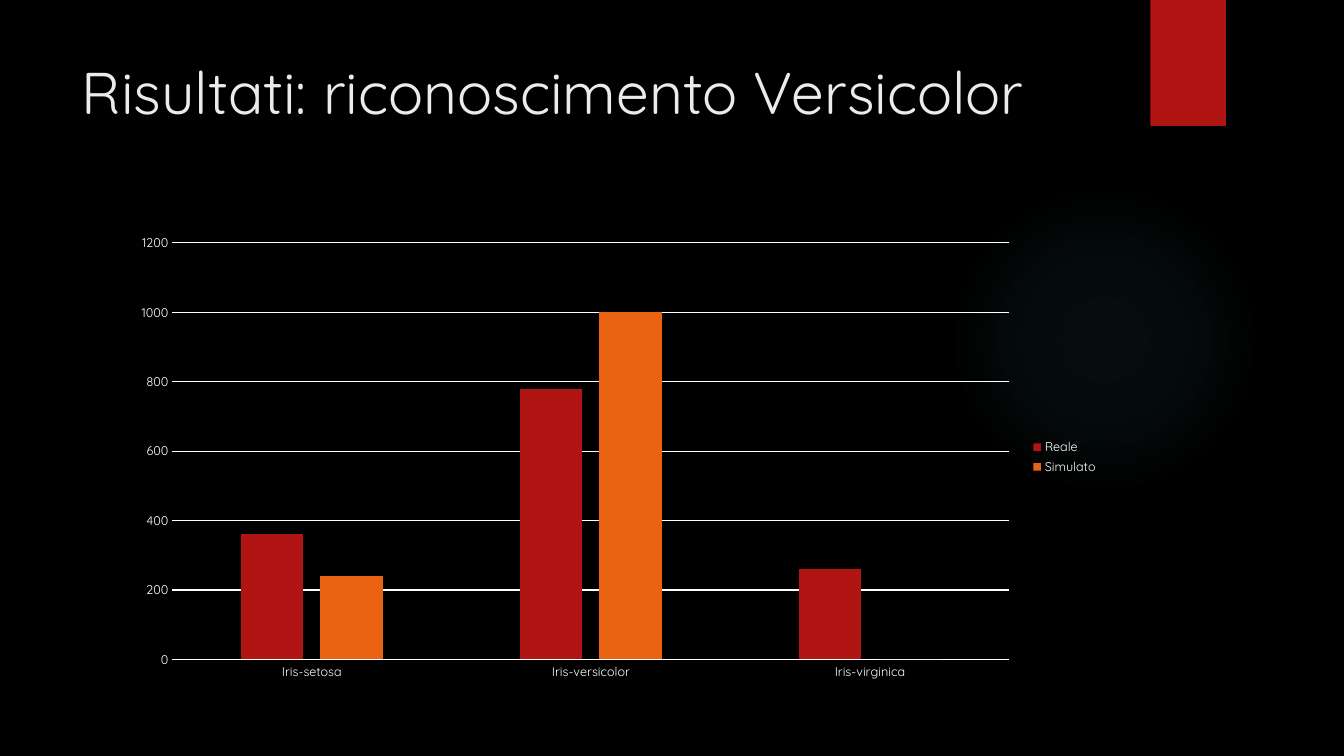
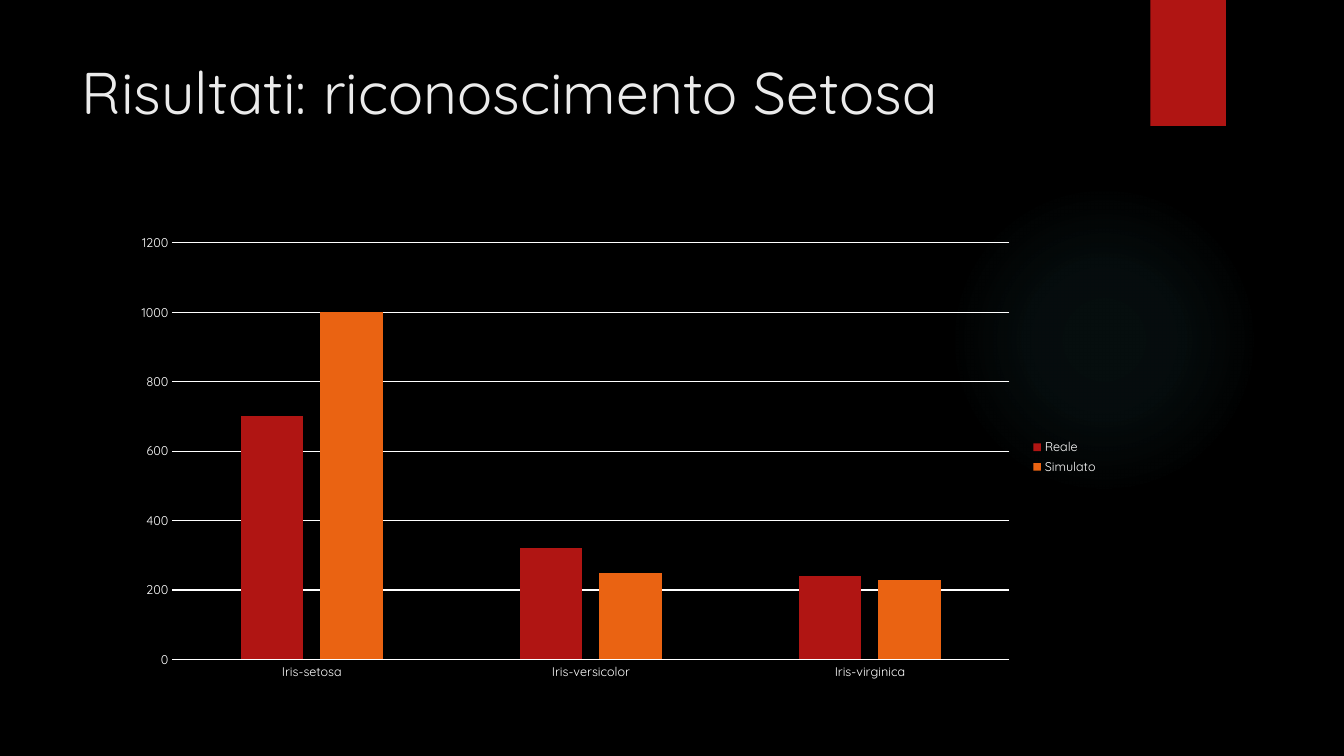
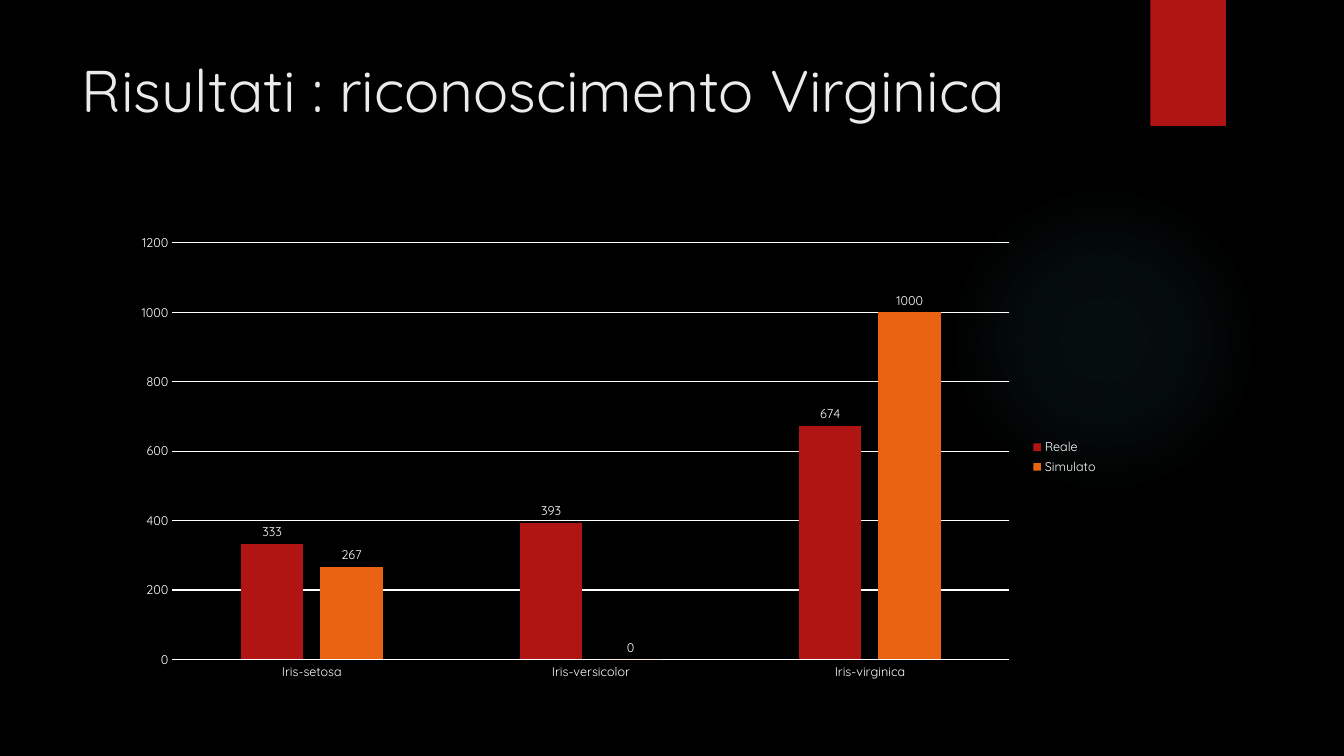
"""Build three slides comparing real and simulated iris recognition results."""
from dataclasses import dataclass
from typing import Any

from pptx import Presentation, oxml
from pptx import util as u
from pptx.chart import data as chart_data
from pptx.dml import color
from pptx.enum import chart as ec
from pptx.enum import shapes as es
from pptx.enum import text as et
from pptx.oxml import ns

PX = 9144
FONT = "Quicksand"
BLACK, WHITE, TITLE_COLOR = "000000", "FFFFFF", "EBEBEB"
RED, ORANGE, GLOW = "B01513", "EA6312", "50B9C1"
GLOW_STOPS = ((0, 7), (36, 6), (69, 0))
SPECIES = ("Iris-setosa", "Iris-versicolor", "Iris-virginica")
SERIES_COLORS = {"Reale": RED, "Simulato": ORANGE}


@dataclass(frozen=True)
class Box:
    left: int
    top: int
    width: int
    height: int

    def emu(self) -> tuple[int, ...]:
        return tuple(u.Emu(side * PX) for side in (self.left, self.top, self.width, self.height))


@dataclass(frozen=True)
class Result:
    title: str
    real: tuple[int, ...]
    simulated: tuple[int, ...]
    title_top: int = 50
    labelled: bool = False


GLOW_BOX = Box(941, 183, 308, 308)
BAND_BOX = Box(1141, 0, 75, 125)
CHART_BOX = Box(121, 224, 978, 459)
RESULTS = (
    Result("Risultati: riconoscimento Versicolor", (360, 780, 260), (240, 1000, 0)),
    Result("Risultati: riconoscimento Setosa", (700, 320, 240), (1000, 250, 230)),
    Result("Risultati : riconoscimento Virginica", (333, 393, 674), (267, 0, 1000), 48, True),
)


def rgb(value: str) -> color.RGBColor:
    return color.RGBColor.from_string(value)


def apply(target: Any, values: dict[str, Any]) -> None:
    for name, value in values.items():
        setattr(target, name, value)


def paint(fill: Any, value: str) -> None:
    fill.solid()
    fill.fore_color.rgb = rgb(value)


def style_font(font: Any, size: int, value: str) -> None:
    apply(font, {"name": FONT, "size": u.Pt(size)})
    font.color.rgb = rgb(value)


def style_line(line: Any) -> None:
    paint(line.fill, WHITE)
    line.width = u.Pt(0.75)


def add_decoration(slide: Any, kind: Any, box: Box) -> Any:
    shape = slide.shapes.add_shape(kind, *box.emu())
    shape.shadow.inherit = False
    shape.line.fill.background()
    tree = slide.slide_layout.shapes.element
    shape.element.nvSpPr.cNvPr.id = 1 + max(int(i) for i in tree.xpath("//p:cNvPr/@id"))
    tree.append(shape.element)
    return shape


def decorate_layout(slide: Any) -> None:
    glow = add_decoration(slide, es.MSO_SHAPE.OVAL, GLOW_BOX)
    glow.fill.background()
    stops = "".join(
        f'<a:gs pos="{place * 1000}"><a:srgbClr val="{GLOW}">'
        f'<a:alpha val="{alpha * 1000}"/></a:srgbClr></a:gs>'
        for place, alpha in GLOW_STOPS
    )
    gradient = oxml.parse_xml(
        f'<a:gradFill {ns.nsdecls("a")} rotWithShape="1"><a:gsLst>{stops}</a:gsLst>'
        '<a:path path="circle"><a:fillToRect l="50000" t="50000" r="50000" b="50000"/>'
        '</a:path></a:gradFill>'
    )
    properties = glow.element.spPr
    properties.replace(properties.find(ns.qn("a:noFill")), gradient)

    band = add_decoration(slide, es.MSO_SHAPE.RECTANGLE, BAND_BOX)
    paint(band.fill, RED)
    band.element.spPr.find(ns.qn("a:effectLst")).append(oxml.parse_xml(
        f'<a:outerShdw {ns.nsdecls("a")} blurRad="{u.Pt(3)}" dist="{u.Pt(2)}" dir="5400000" '
        f'rotWithShape="0"><a:srgbClr val="{BLACK}"><a:alpha val="45000"/></a:srgbClr>'
        '</a:outerShdw>'
    ))


def set_title(slide: Any, result: Result) -> None:
    title = slide.shapes.title
    left, top, width, height = Box(71, result.title_top, 1029, 153).emu()
    apply(title, {"left": left, "top": top, "width": width, "height": height})
    frame = title.text_frame
    apply(frame, {"text": result.title, "word_wrap": True,
                  "auto_size": et.MSO_AUTO_SIZE.NONE, "vertical_anchor": et.MSO_ANCHOR.TOP})
    paragraph = frame.paragraphs[0]
    paragraph.alignment = et.PP_ALIGN.LEFT
    style_font(paragraph.runs[0].font, 42, TITLE_COLOR)


def style_axes(chart: Any) -> None:
    for axis in (chart.category_axis, chart.value_axis):
        apply(axis, {"major_tick_mark": ec.XL_TICK_MARK.NONE,
                     "minor_tick_mark": ec.XL_TICK_MARK.NONE})
        style_font(axis.tick_labels.font, 9, WHITE)
    style_line(chart.category_axis.format.line)
    apply(chart.value_axis, {"minimum_scale": 0, "maximum_scale": 1200, "major_unit": 200,
                             "has_major_gridlines": True})
    chart.value_axis.format.line.fill.background()
    style_line(chart.value_axis.major_gridlines.format.line)


def add_result_chart(slide: Any, result: Result) -> None:
    values = chart_data.CategoryChartData()
    values.categories = SPECIES
    for name, numbers in zip(SERIES_COLORS, (result.real, result.simulated)):
        values.add_series(name, numbers)
    chart = slide.shapes.add_chart(
        ec.XL_CHART_TYPE.COLUMN_CLUSTERED, *CHART_BOX.emu(), values).chart
    apply(chart, {"has_title": False, "has_legend": True})
    style_font(chart.font, 10, WHITE)
    chart.element.txPr.addprevious(oxml.parse_xml(
        f'<c:spPr {ns.nsdecls("c", "a")}><a:noFill/><a:ln><a:noFill/></a:ln></c:spPr>'))
    apply(chart.legend, {"position": ec.XL_LEGEND_POSITION.RIGHT, "include_in_layout": False})
    style_font(chart.legend.font, 9, WHITE)
    style_axes(chart)
    plot = chart.plots[0]
    apply(plot, {"gap_width": 219, "overlap": -27, "vary_by_categories": False})
    for series in plot.series:
        paint(series.format.fill, SERIES_COLORS[series.name])
        if result.labelled:
            apply(series.data_labels, {"show_value": True,
                                       "position": ec.XL_LABEL_POSITION.OUTSIDE_END})
            style_font(series.data_labels.font, 9, WHITE)


def main() -> None:
    presentation = Presentation()
    apply(presentation, {"slide_width": u.Emu(1333 * PX), "slide_height": u.Emu(750 * PX)})
    paint(presentation.slide_master.background.fill, BLACK)
    layout = presentation.slide_layouts.get_by_name("Title Only")
    for result in RESULTS:
        slide = presentation.slides.add_slide(layout)
        set_title(slide, result)
        add_result_chart(slide, result)
    decorate_layout(presentation.slides[0])
    presentation.save("out.pptx")


if __name__ == "__main__":
    main()
